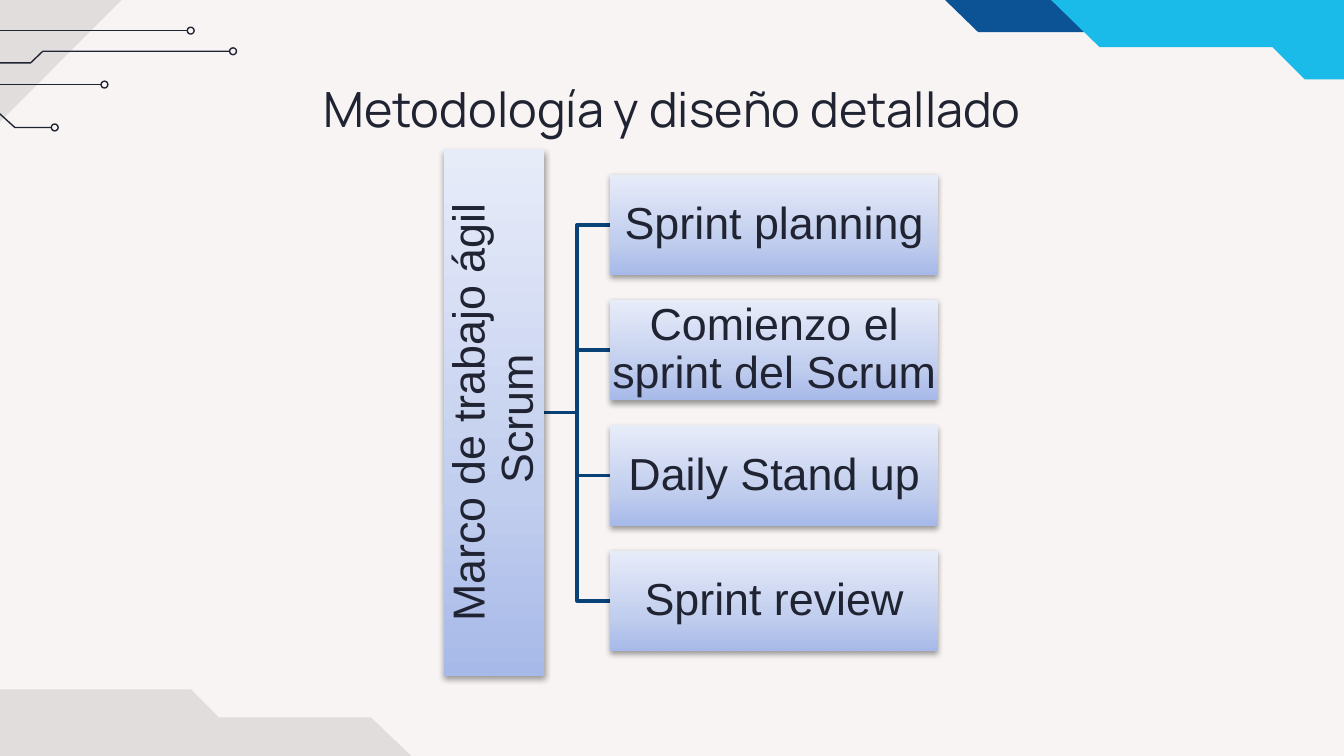
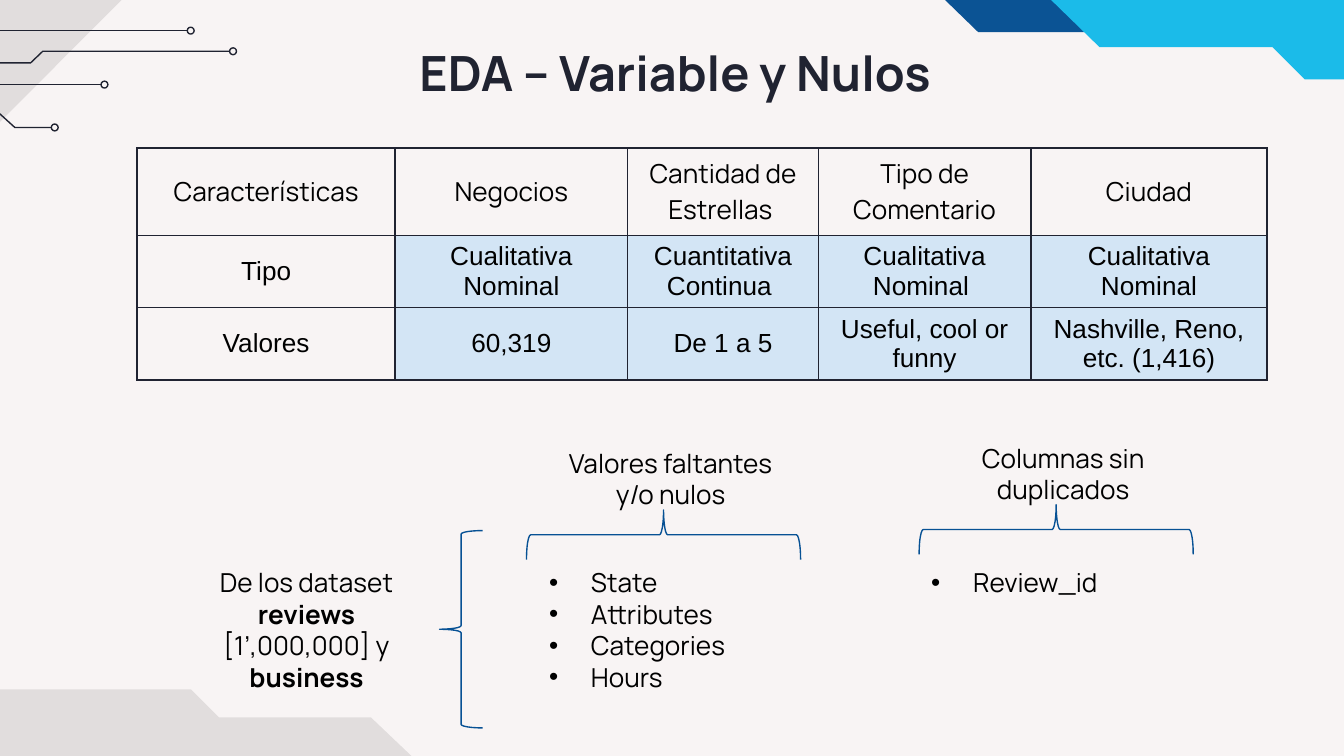
import copy

import pptx
import pptx.dml.color
import pptx.enum.shapes
import pptx.enum.text
import pptx.oxml
import pptx.oxml.ns
import pptx.util
from lxml import etree

Cm = pptx.util.Cm
Pt = pptx.util.Pt
SHAPES = pptx.enum.shapes.MSO_SHAPE
ALIGN = pptx.enum.text.PP_ALIGN
MIDDLE = pptx.enum.text.MSO_ANCHOR.MIDDLE
DRAWING = "http://schemas.openxmlformats.org/drawingml/2006/main"

INK = "202331"
BLACK = "000000"
PAPER = "F8F4F4"
NAVY = "0B5394"
CYAN = "1BBBE9"
BRANCH_BLUE = "094277"
BRACE_BLUE = "075194"
CELL_BLUE = "D3E5F5"
CARD_STOPS = [(0, "A7B9E8"), (0.35, "C2CEEE"), (1, "E7ECF9")]

TITLE_FONT = {"name": "Manrope", "size": Pt(26), "bold": False}
BODY_FONT = {"name": "Manrope", "size": Pt(14), "bold": False}
VALUE_FONT = {**BODY_FONT, "name": "Arial"}
CARD_FONT = {"name": "Arial", "size": Pt(24), "bold": False}

CORNERS = [
    (NAVY, None, [(17.83, -0.03), (18.49, 0.61), (21.26, 0.61), (20.62, -0.03)]),
    (CYAN, None, [(29.31, 1.5), (29.31, -5.08), (18.19, -5.08), (18.19, -0.25),
                  (19.61, -0.25), (20.78, 0.89), (24.05, 0.89), (24.66, 1.5)]),
    (BLACK, 9, [(-0.48, 13.03), (-0.48, 18.8), (9.3, 18.8), (9.3, 14.55),
                (8.05, 14.55), (7.01, 13.56), (4.14, 13.56), (3.61, 13.03)]),
    (BLACK, 9, [(-5.64, 3.28), (-5.64, -1.85), (4.14, -1.85), (-0.97, 3.28)]),
]
CIRCUITS = [
    [(-2.31, 1.6), (1.91, 1.6)],
    [(-3.25, 2.11), (-0.05, 2.11), (0.28, 2.41), (0.97, 2.41)],
    [(-4.06, 1.19), (0.58, 1.19), (0.81, 0.97), (4.34, 0.97)],
    [(-4.7, 0.58), (3.54, 0.58)],
]
NODE_SIZE = 0.13

EVENTS = ["Sprint planning", "Comienzo el sprint del Scrum", "Daily Stand up",
          "Sprint review"]

VARIABLES = [
    ["Características", "Negocios", "Cantidad de Estrellas ", "Tipo de Comentario",
     "Ciudad"],
    ["Tipo", "Cualitativa Nominal", "Cuantitativa Continua ", "Cualitativa Nominal ",
     "Cualitativa Nominal"],
    ["Valores", "60,319", "De 1 a 5", "Useful, cool or funny",
     "Nashville, Reno, etc. (1,416)"],
]
COLUMN_WIDTHS = [4.88, 4.39, 3.61, 4.01, 4.47]
ROW_HEIGHTS = [1.65, 1.27, 1.27]


def color(value):
    return pptx.dml.color.RGBColor.from_string(value)


def cm(*values):
    return [Cm(value) for value in values]


def set_all(target, values):
    for name, value in values.items():
        setattr(target, name, value)


def style_line(line, value, width):
    line.color.rgb = color(value)
    line.width = Pt(width)


def add_child(parent, tag, **attributes):
    return etree.SubElement(parent, f"{{{DRAWING}}}{tag}", attributes)


def write(para, text, font, ink, align=ALIGN.CENTER):
    span = para.add_run()
    span.text = text
    set_all(span.font, font)
    span.font.color.rgb = color(ink)
    para.alignment = align


def add_outline(page, points, closed):
    """Return a freeform without shadow through points in centimetres."""
    builder = page.shapes.build_freeform(*cm(*points[0]))
    builder.add_line_segments([cm(*point) for point in points[1:]], close=closed)
    shape = builder.convert_to_shape()
    shape.shadow.inherit = False
    return shape


def add_polygon(page, points, value, alpha):
    shape = add_outline(page, points, True)
    shape.fill.solid()
    shape.fill.fore_color.rgb = color(value)
    shape.line.fill.background()
    if alpha:
        swatch = shape.element.find(f".//{{{DRAWING}}}srgbClr")
        add_child(swatch, "alpha", val=str(alpha * 1000))


def add_path(page, points, value, width):
    shape = add_outline(page, points, False)
    shape.fill.background()
    style_line(shape.line, value, width)


def add_straight(page, start, end, value, width):
    kind = pptx.enum.shapes.MSO_CONNECTOR.STRAIGHT
    line = page.shapes.add_connector(kind, *cm(*start, *end))
    style_line(line.line, value, width)
    add_child(line.element.spPr, "effectLst")


def add_line_shape(page, kind, frame, value, rotation=0):
    """Add an unfilled preset shape with a thin line."""
    shape = page.shapes.add_shape(kind, *cm(*frame))
    shape.shadow.inherit = False
    shape.fill.background()
    shape.rotation = rotation
    style_line(shape.line, value, 0.75)


def add_circuit(page, points):
    if len(points) == 2:
        add_straight(page, *points, INK, 0.75)
    else:
        add_path(page, points, INK, 0.75)
    left, middle = points[-1]
    frame = (left, middle - NODE_SIZE / 2, NODE_SIZE, NODE_SIZE)
    add_line_shape(page, SHAPES.OVAL, frame, INK)


def add_page(deck, title, frame, bold=False):
    """Add a page with its corner bands, circuit lines and title."""
    page = deck.slides.add_slide(deck.slide_layouts[5])
    for value, alpha, points in CORNERS:
        add_polygon(page, points, value, alpha)
    for points in CIRCUITS:
        add_circuit(page, points)
    box = page.shapes.title
    set_all(box, dict(zip(("left", "top", "width", "height"), cm(*frame))))
    text = box.text_frame
    set_all(text, {"margin_left": Cm(0.25), "margin_right": Cm(0.25),
                   "margin_top": Cm(0.25), "margin_bottom": Cm(0.25),
                   "vertical_anchor": MIDDLE, "word_wrap": True,
                   "auto_size": pptx.enum.text.MSO_AUTO_SIZE.NONE})
    write(text.paragraphs[0], title, {**TITLE_FONT, "bold": bold}, INK)
    return page


def fill_card(shape):
    """Apply the three-stop gradient, dark at the foot of the card."""
    shape.fill.gradient()
    shape.fill.gradient_angle = 90
    gradient = shape.element.find(f".//{{{DRAWING}}}gradFill")
    gradient.set("rotWithShape", "0")
    stops = gradient.find(f"{{{DRAWING}}}gsLst")
    stops.append(copy.deepcopy(stops[-1]))
    for stop, (position, value) in zip(shape.fill.gradient_stops, CARD_STOPS):
        stop.position = position
        stop.color.rgb = color(value)


def add_card(page, text, frame, rotation=0):
    shape = page.shapes.add_shape(SHAPES.RECTANGLE, *cm(*frame))
    shape.rotation = rotation
    fill_card(shape)
    shape.line.fill.background()
    shape.shadow.inherit = False
    effects = shape.element.spPr.find(f"{{{DRAWING}}}effectLst")
    shadow = add_child(effects, "outerShdw", blurRad="40000", dist="20000",
                       dir="5400000", rotWithShape="0")
    add_child(add_child(shadow, "srgbClr", val=BLACK), "alpha", val="38000")
    margins = ("margin_left", "margin_right", "margin_top", "margin_bottom")
    set_all(shape.text_frame, dict.fromkeys(margins, Cm(0.02)))
    set_all(shape.text_frame, {"word_wrap": True, "vertical_anchor": MIDDLE})
    para = shape.text_frame.paragraphs[0]
    para.line_spacing = 0.9
    write(para, text, CARD_FONT, INK)


def add_event_tree(page, root, events):
    left, top, width, height, step = 11.53, 3.3, 6.2, 1.9, 2.37
    root_edge, root_middle, root_length = 10.29, 7.8, 9.96
    bend = (root_edge + left) / 2
    tops = [top + index * step for index in range(len(events))]
    for event_top in reversed(tops):
        middle = event_top + height / 2
        add_path(page, [(root_edge, root_middle), (bend, root_middle),
                        (bend, middle), (left, middle)], BRANCH_BLUE, 2)
    root_frame = (root_edge - height / 2 - root_length / 2,
                  root_middle - height / 2, root_length, height)
    add_card(page, root, root_frame, 270)
    for event, event_top in zip(events, tops):
        add_card(page, event, (left, event_top, width, height))


def border_cell(cell):
    properties = cell._tc.get_or_add_tcPr()
    for index, side in enumerate(("lnL", "lnR", "lnT", "lnB")):
        edge = pptx.oxml.parse_xml(
            f'<a:{side} xmlns:a="{DRAWING}" w="12700"><a:solidFill>'
            f'<a:srgbClr val="{INK}"/></a:solidFill></a:{side}>')
        properties.insert(index, edge)


def add_variable_table(page):
    frame = cm(2.59, 2.8, sum(COLUMN_WIDTHS), sum(ROW_HEIGHTS))
    table = page.shapes.add_table(len(VARIABLES), len(COLUMN_WIDTHS), *frame).table
    set_all(table, {"first_row": False, "horz_banding": False})
    for column, width in zip(table.columns, COLUMN_WIDTHS):
        column.width = Cm(width)
    for row_index, (row, height) in enumerate(zip(table.rows, ROW_HEIGHTS)):
        row.height = Cm(height)
        for column_index, cell in enumerate(row.cells):
            cell.vertical_anchor = MIDDLE
            if row_index and column_index:
                cell.fill.solid()
                cell.fill.fore_color.rgb = color(CELL_BLUE)
            else:
                cell.fill.background()
            border_cell(cell)
            write(cell.text_frame.paragraphs[0], VARIABLES[row_index][column_index],
                  VALUE_FONT if row_index else BODY_FONT, BLACK)


def add_bullet(para):
    properties = para._p.get_or_add_pPr()
    properties.set("marL", str(Cm(0.79)))
    properties.set("indent", str(-Cm(0.79)))
    add_child(add_child(properties, "buClr"), "srgbClr", val=BLACK)
    add_child(properties, "buFont", typeface="Arial")
    add_child(properties, "buChar", char="•")


def add_text(page, frame, paragraphs, bulleted=False):
    """Each paragraph is a list of (text, bold) spans."""
    text = page.shapes.add_textbox(*cm(*frame)).text_frame
    set_all(text, {"word_wrap": True,
                   "auto_size": pptx.enum.text.MSO_AUTO_SIZE.SHAPE_TO_FIT_TEXT})
    align = ALIGN.LEFT if bulleted else ALIGN.CENTER
    for index, spans in enumerate(paragraphs):
        para = text.add_paragraph() if index else text.paragraphs[0]
        for words, bold in spans:
            write(para, words, {**BODY_FONT, "bold": bold}, BLACK, align)
        if bulleted:
            add_bullet(para)


def add_column_group(page, caption, left, top, items, items_frame):
    """Add a caption over a lying brace, with a bulleted list below."""
    add_line_shape(page, SHAPES.LEFT_BRACE, (left + 1.86, top - 0.81, 0.94, 5.18),
                   BRACE_BLUE, 90)
    add_text(page, (left, top, 4.93, 1.45), [[(caption, False)]])
    add_text(page, items_frame, [[(item, False)] for item in items], True)


def main():
    deck = pptx.Presentation()
    deck.slide_width, deck.slide_height = cm(25.4, 14.29)
    backdrop = deck.slide_master.background.fill
    backdrop.solid()
    backdrop.fore_color.rgb = color(PAPER)

    page = add_page(deck, "Metodología y diseño detallado", (2.01, 1.24, 21.41, 1.6))
    add_event_tree(page, "Marco de trabajo ágil Scrum ", EVENTS)

    page = add_page(deck, "EDA – Variable y Nulos", (2.06, 0.56, 21.41, 1.6), True)
    add_variable_table(page)
    add_line_shape(page, SHAPES.LEFT_BRACE, (8.31, 10.03, 0.81, 3.73), BRACE_BLUE)
    add_text(page, (3.28, 10.59, 5.03, 2.64),
             [[("De los dataset ", False), ("reviews", True),
               (" [1’,000,000] y ", False), ("business", True)]])
    add_column_group(page, "Valores faltantes y/o nulos", 10.21, 8.33,
                     ["State", "Attributes", "Categories", "Hours"],
                     (10.13, 10.59, 5.08, 2.64))
    add_column_group(page, "Columnas sin duplicados", 17.63, 8.23,
                     ["Review_id"], (17.35, 10.59, 6.58, 0.86))
    deck.save("out.pptx")


if __name__ == "__main__":
    main()
